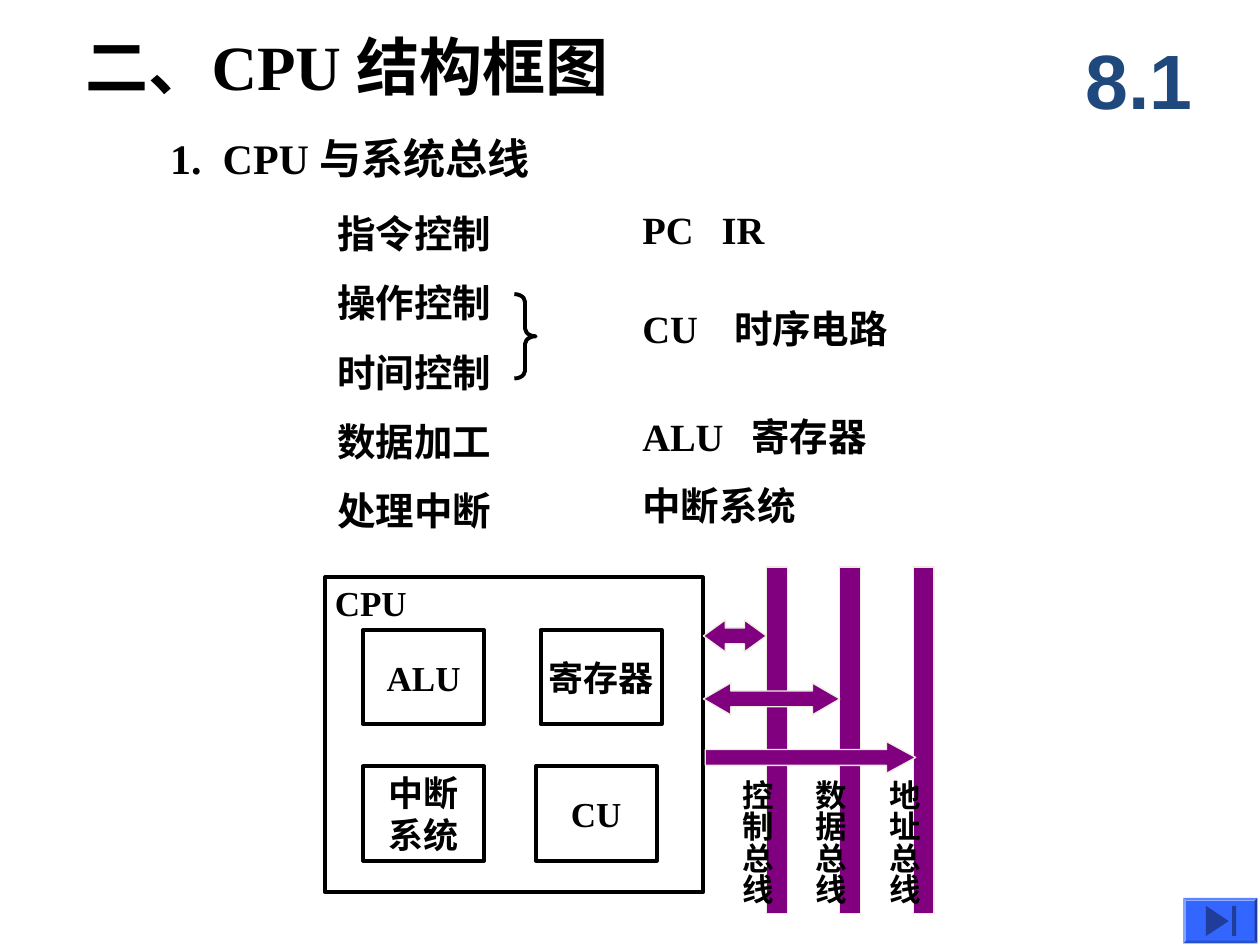
from lxml import etree
from pptx import Presentation
from pptx import util as u
from pptx.dml.color import RGBColor
from pptx.enum import shapes, text
from pptx.oxml.ns import qn

COLORS = {"ink": "000000", "bus": "800080", "edge": "EEECE1",
          "section": "1F497D", "button": "3366FF", "glyph": "1F3D99"}
SERIF = "Times New Roman"
KIND = shapes.MSO_SHAPE

# Content: lengths in cm, sizes in points
TITLE = "二、CPU 结构框图"
FUNCTIONS = ["指令控制", "操作控制", "时间控制", "数据加工", "处理中断"]
ROW_PITCH = 1.4
# text, left, top, width, height, size, tab stop
NOTES = [
    ("1.\tCPU 与系统总线", 3.18, 2.54, 8.89, 1.27, 24, 1.06),
    ("PC\tIR", 12.7, 4.02, 7.62, 1.18, 22, 1.6),
    ("CU\t时序电路", 12.7, 6.02, 7.62, 1.18, 22, 1.85),
    ("ALU\t寄存器", 12.7, 8.2, 7.62, 1.18, 22, 2.2),
    ("中断系统", 12.7, 9.6, 7.62, 1.18, 22, None),
    ("CPU", 6.5, 11.6, 1.96, 1.1, 20, None),
]
# lines, left, top
UNITS = [(["ALU"], 7.32, 12.7), (["寄存器"], 10.9, 12.7),
         (["中断", "系统"], 7.32, 15.45), (["CU"], 10.8, 15.45)]
BUSES = ["控制总线", "数据总线", "地址总线"]
BUS_LEFT, BUS_PITCH = 15.45, 1.48
# kind, left, top, width, head length
ARROWS = [(KIND.LEFT_RIGHT_ARROW, 14.18, 12.5, 1.27, 0.69),
          (KIND.LEFT_RIGHT_ARROW, 14.18, 13.77, 2.75, 0.86),
          (KIND.RIGHT_ARROW, 14.22, 14.95, 4.24, 0.92)]


def color(name):
    return RGBColor.from_string(COLORS[name])


def place(item, left, top, width, height):
    item.left, item.top = u.Cm(left), u.Cm(top)
    item.width, item.height = u.Cm(width), u.Cm(height)


def write(frame, lines, size, ink="ink", font=SERIF, align=text.PP_ALIGN.LEFT,
          tab=None, pitch=None):
    for index, line in enumerate(lines):
        para = frame.paragraphs[0] if index == 0 else frame.add_paragraph()
        para.alignment = align
        para.space_before = u.Pt(0)
        if pitch:
            para.line_spacing = u.Cm(pitch)
        if tab:
            stops = etree.SubElement(para._p.get_or_add_pPr(), qn("a:tabLst"))
            etree.SubElement(stops, qn("a:tab"), pos=str(u.Cm(tab)), algn="l")
        span = para.add_run()
        span.text = line
        span.font.size, span.font.bold, span.font.name = u.Pt(size), True, font
        span.font.color.rgb = color(ink)


def style(shape, fill=None, line=None, width=2.25):
    shape.shadow.inherit = False
    if fill:
        shape.fill.solid()
        shape.fill.fore_color.rgb = color(fill)
    else:
        shape.fill.background()
    if line:
        shape.line.color.rgb = color(line)
        shape.line.width = u.Pt(width)
    else:
        shape.line.fill.background()
    return shape


def add_shape(page, kind, box, **look):
    return style(page.shapes.add_shape(kind, *map(u.Cm, box)), **look)


def add_box(page, box, wrap=True):
    frame = page.shapes.add_textbox(*map(u.Cm, box)).text_frame
    frame.word_wrap = wrap
    return frame


def add_texts(page):
    # Title and list of functions
    title, body = page.shapes.title, page.placeholders[1]
    place(title, 1.47, 0.43, 15.88, 1.78)
    place(body, 6.55, 3.63, 5, 7.2)
    for holder in (title, body):
        holder.text_frame.auto_size = text.MSO_AUTO_SIZE.NONE
        holder.text_frame.vertical_anchor = text.MSO_ANCHOR.TOP
    write(title.text_frame, [TITLE], 36)
    write(body.text_frame, FUNCTIONS, 22, pitch=ROW_PITCH)
    for para in body.text_frame.paragraphs:
        props = para._p.get_or_add_pPr()
        props.set("marL", "0")
        props.set("indent", "0")
        spacing = props.find(qn("a:spcBef"))
        spacing.addnext(etree.Element(qn("a:buNone")))

    # Heading, matching parts and section number
    for line, left, top, width, height, size, tab in NOTES:
        write(add_box(page, (left, top, width, height)), [line], size, tab=tab)
    section = add_box(page, (21.38, 0.43, 3.17, 2.33))
    section.vertical_anchor = text.MSO_ANCHOR.MIDDLE
    write(section, ["8.1"], 44, "section", "Arial", text.PP_ALIGN.CENTER)
    brace = add_shape(page, KIND.RIGHT_BRACE, (10.37, 5.93, 0.43, 1.7), line="ink")
    brace.adjustments[0] = 0.36


def add_diagram(page):
    # CPU frame and its units
    add_shape(page, KIND.RECTANGLE, (6.55, 11.64, 7.62, 6.35), line="ink")
    for lines, left, top in UNITS:
        unit = add_shape(page, KIND.RECTANGLE, (left, top, 2.44, 1.9), line="ink")
        unit.text_frame.word_wrap = False
        unit.text_frame.vertical_anchor = text.MSO_ANCHOR.MIDDLE
        write(unit.text_frame, lines, 20, align=text.PP_ALIGN.CENTER)

    # Buses, then arrows, then bus names on top
    look = {"fill": "bus", "line": "edge", "width": 0.75}
    lefts = [BUS_LEFT + BUS_PITCH * index for index in range(len(BUSES))]
    for left in lefts:
        add_shape(page, KIND.RECTANGLE, (left, 11.43, 0.42, 6.99), **look)
    for kind, left, top, width, head in ARROWS:
        arrow = add_shape(page, kind, (left, top, width, 0.64), **look)
        arrow.adjustments[0], arrow.adjustments[1] = 0.5, head
    for name, left in zip(BUSES, lefts):
        frame = add_box(page, (left - 0.95, 15.47, 1.27, 2.8), wrap=False)
        frame.margin_left = frame.margin_right = u.Cm(0.13)
        frame.margin_top = frame.margin_bottom = u.Cm(0.25)
        frame._txBody.bodyPr.set("vert", "eaVert")
        write(frame, [name], 18)


def add_button(page):
    # Bevelled button with an end mark
    button = add_shape(page, KIND.BEVEL, (23.85, 18.1, 1.5, 0.92), fill="button")
    button.adjustments[0] = 0.06
    builder = page.shapes.build_freeform(u.Cm(24.31), u.Cm(18.26))
    builder.add_line_segments([(u.Cm(24.77), u.Cm(18.57)),
                               (u.Cm(24.31), u.Cm(18.87))])
    style(builder.convert_to_shape(), fill="glyph")
    add_shape(page, KIND.RECTANGLE, (24.84, 18.26, 0.08, 0.61), fill="glyph")


def main():
    deck = Presentation()
    deck.slide_width, deck.slide_height = u.Cm(25.4), u.Cm(19.05)
    page = deck.slides.add_slide(deck.slide_layouts[1])
    add_texts(page)
    add_diagram(page)
    add_button(page)
    deck.save("out.pptx")


if __name__ == "__main__":
    main()
